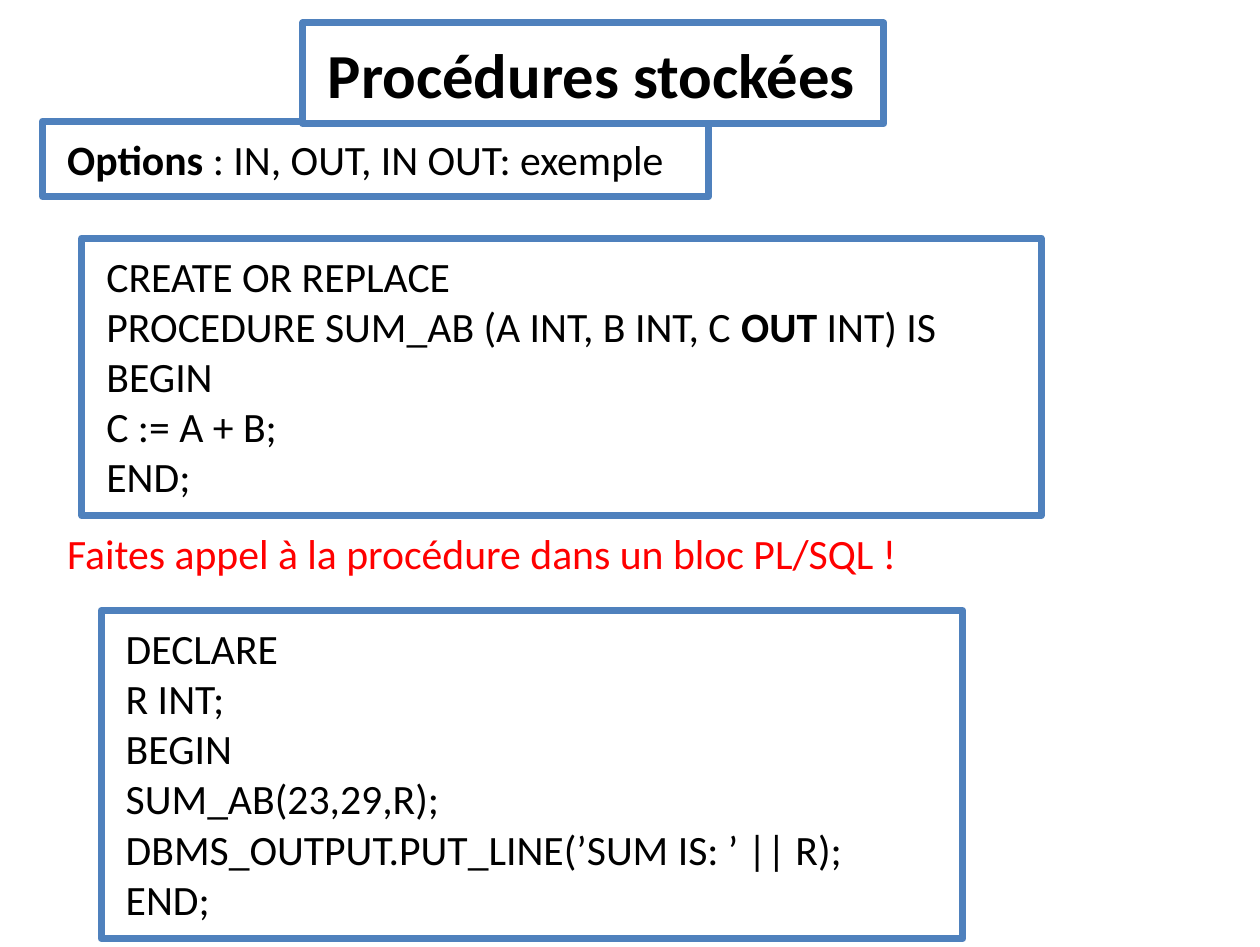
from pptx import Presentation
from pptx.dml.color import RGBColor
from pptx.enum.text import MSO_ANCHOR as Anchor, MSO_AUTO_SIZE as AutoSize, PP_ALIGN as Align
from pptx.util import Inches, Pt

BLACK = RGBColor(0x00, 0x00, 0x00)
WHITE = RGBColor(0xFF, 0xFF, 0xFF)
RED = RGBColor(0xFF, 0x00, 0x00)
BLUE = RGBColor(0x4F, 0x81, 0xBD)
FONT = "Calibri"
LINE_HEIGHT = 1.21
INSET = Inches(0.05)

HEADING = [[("Procédures stockées", True)]]
OPTIONS = [[("Options", True), (" : IN, OUT, IN OUT: exemple", False)]]
PROCEDURE = [
    [("CREATE OR REPLACE", False)],
    [("PROCEDURE SUM_AB (A INT, B INT, C ", False), ("OUT", True), (" INT) IS", False)],
    [("BEGIN", False)],
    [("C := A + B;", False)],
    [("END;", False)],
]
EXERCISE = [[("Faites appel à la procédure dans un bloc PL/SQL !", False)]]
CALL = [
    [(line, False)]
    for line in (
        "DECLARE",
        "R INT;",
        "BEGIN",
        "SUM_AB(23,29,R);",
        "DBMS_OUTPUT.PUT_LINE(’SUM IS: ’ || R);",
        "END;",
    )
]

HEADING_PLACE = (24.04, 2.42, 46.12)
BODY = [
    (PROCEDURE, (6.5, 25.13, 76.14), {}),
    (CALL, (8.03, 64.47, 68.39), {}),
    (OPTIONS, (3.38, 12.8, 52.88), {"wrap": False}),
    (EXERCISE, (3.38, 54.42, 72.96), {"color": RED, "framed": False}),
]

deck = Presentation()
deck.slide_width, deck.slide_height = Inches(5.03), Inches(3.78)
slide = deck.slides.add_slide(deck.slide_layouts[5])


def write(lines, place, box=None, size=12, color=BLACK, framed=True, wrap=True):
    left, top, width = (
        int(share / 100 * side)
        for share, side in zip(place, (deck.slide_width, deck.slide_height, deck.slide_width))
    )
    height = int(len(lines) * LINE_HEIGHT * Pt(size)) + 2 * INSET
    if box is None:
        box = slide.shapes.add_textbox(left, top, width, height)
    box.left, box.top, box.width, box.height = left, top, width, height
    if framed:
        box.fill.solid()
        box.fill.fore_color.rgb = WHITE
        box.line.color.rgb = BLUE
        box.line.width = Pt(2)
    frame = box.text_frame
    frame.word_wrap = wrap
    frame.auto_size = AutoSize.NONE
    frame.vertical_anchor = Anchor.TOP
    for index, line in enumerate(lines):
        paragraph = frame.add_paragraph() if index else frame.paragraphs[0]
        paragraph.alignment = Align.LEFT
        for text, bold in line:
            run = paragraph.add_run()
            run.text = text
            run.font.name = FONT
            run.font.size = Pt(size)
            run.font.bold = bold
            run.font.color.rgb = color


for lines, place, style in BODY:
    write(lines, place, **style)

heading = slide.shapes.title
write(HEADING, HEADING_PLACE, box=heading, size=18, wrap=False)
slide.shapes.element.append(heading.element)

deck.save("out.pptx")
